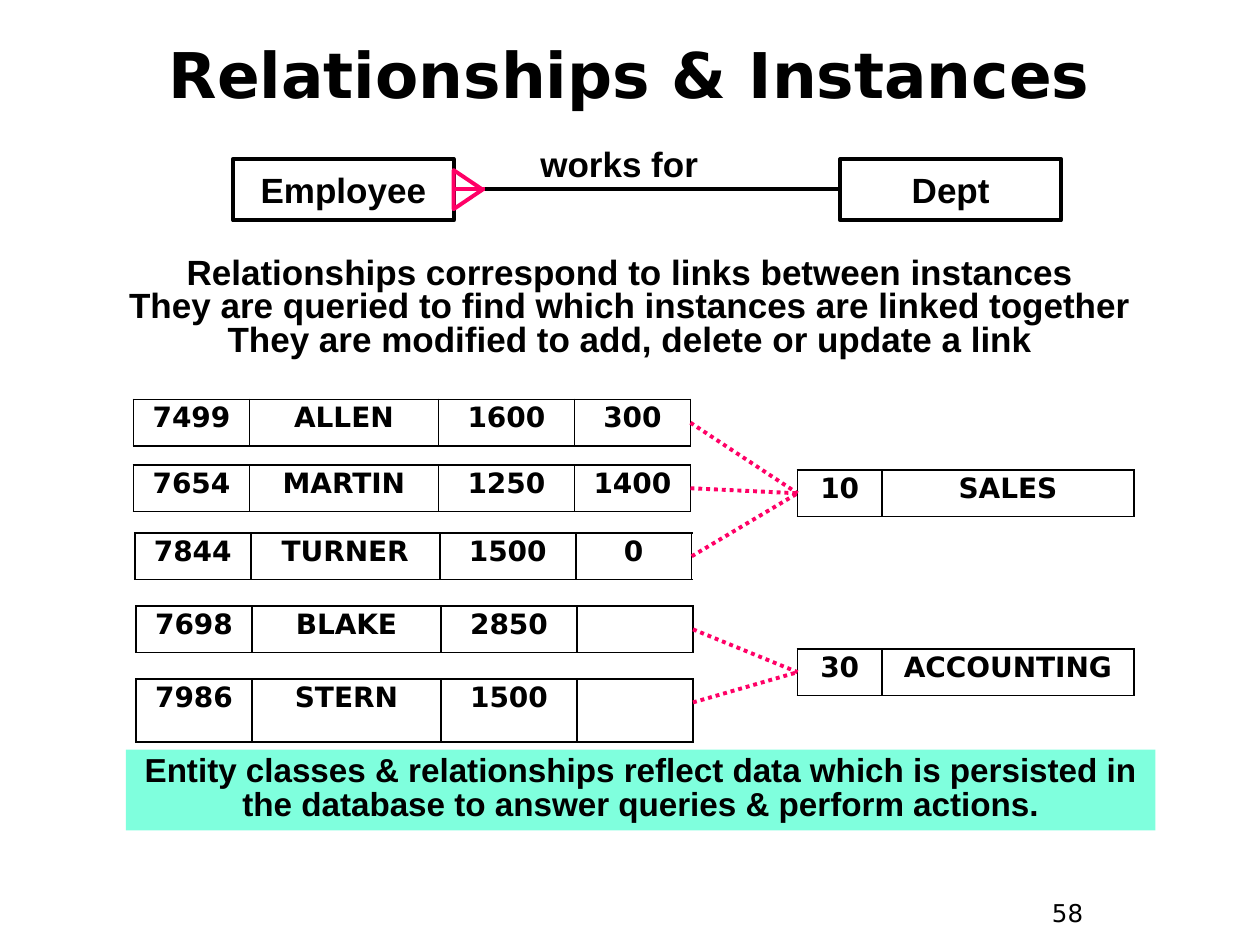
import pptx
import pptx.dml.color
import pptx.enum.dml
import pptx.enum.shapes
import pptx.enum.text
import pptx.oxml
import pptx.oxml.ns
import pptx.util

Inches = pptx.util.Inches
Pt = pptx.util.Pt
Shape = pptx.enum.shapes.MSO_SHAPE
Align = pptx.enum.text.PP_ALIGN
Anchor = pptx.enum.text.MSO_ANCHOR

COLORS = {"ink": "000000", "link": "FF0066", "banner": "7FFFDD"}
HEADING_FONT = "DejaVu Sans"
BODY_FONT = "Arial"
ROW_HEIGHT = 0.37
EMPLOYEE_COLUMNS = [0.92, 1.5, 1.08, 0.92]
DEPT_COLUMNS = [0.67, 2]
DEPT_LEFT = 6.33

DEPTS = [
    (3.73, ["10", "SALES"], [
        (1.06, 3.17, ROW_HEIGHT, ["7499", "ALLEN", "1600", "300"]),
        (1.06, 3.69, ROW_HEIGHT, ["7654", "MARTIN", "1250", "1400"]),
        (1.07, 4.23, ROW_HEIGHT, ["7844", "TURNER", "1500", "0"]),
    ]),
    (5.15, ["30", "ACCOUNTING"], [
        (1.08, 4.81, ROW_HEIGHT, ["7698", "BLAKE", "2850", ""]),
        (1.08, 5.39, 0.5, ["7986", "STERN", "1500", ""]),
    ]),
]


def rgb(name):
    return pptx.dml.color.RGBColor.from_string(COLORS[name])


def write(frame, text, size, font, bold=True, align=Align.CENTER, spacing=None):
    paragraph = frame.paragraphs[0]
    paragraph.text = text
    paragraph.alignment = align
    if spacing:
        paragraph.line_spacing = spacing
    for run in paragraph.runs:
        run.font.size = Pt(size)
        run.font.name = font
        run.font.bold = bold
        run.font.color.rgb = rgb("ink")


def add_label(slide, box, text, size, font, anchor=Anchor.TOP, **style):
    label = slide.shapes.add_textbox(*map(Inches, box))
    label.text_frame.word_wrap = True
    label.text_frame.vertical_anchor = anchor
    write(label.text_frame, text, size, font, **style)


def add_outline(slide, kind, box, color):
    outline = slide.shapes.add_shape(kind, *map(Inches, box))
    outline.shadow.inherit = False
    outline.fill.background()
    outline.line.color.rgb = rgb(color)
    outline.line.width = Pt(2.25)
    return outline


def add_entity(slide, left, name):
    entity = add_outline(slide, Shape.RECTANGLE, (left, 1.26, 1.75, 0.49), "ink")
    entity.text_frame.word_wrap = False
    entity.text_frame.vertical_anchor = Anchor.MIDDLE
    write(entity.text_frame, name, 20, BODY_FONT)


def add_line(slide, start, end, color, dotted=False):
    line = slide.shapes.add_connector(
        pptx.enum.shapes.MSO_CONNECTOR.STRAIGHT, *map(Inches, start + end))
    line.line.color.rgb = rgb(color)
    line.line.width = Pt(2.25)
    if dotted:
        line.line.dash_style = pptx.enum.dml.MSO_LINE.ROUND_DOT
    effects = pptx.oxml.parse_xml(
        "<a:effectLst %s/>" % pptx.oxml.ns.nsdecls("a"))
    line._element.spPr.append(effects)


def add_borders(cell):
    properties = cell._tc.get_or_add_tcPr()
    for index, side in enumerate("LRTB"):
        border = pptx.oxml.parse_xml(
            '<a:ln%s %s w="%d"><a:solidFill><a:srgbClr val="%s"/></a:solidFill></a:ln%s>'
            % (side, pptx.oxml.ns.nsdecls("a"), Pt(1.08), COLORS["ink"], side))
        properties.insert(index, border)


def add_record(slide, left, top, height, columns, values):
    table = slide.shapes.add_table(
        1, len(columns), Inches(left), Inches(top),
        Inches(sum(columns)), Inches(height)).table
    table.first_row = False
    table.horz_banding = False
    for column, width in zip(table.columns, columns):
        column.width = Inches(width)
    for cell, value in zip(table.rows[0].cells, values):
        cell.fill.background()
        add_borders(cell)
        margin = 0.05 if value else 0
        cell.margin_top = cell.margin_bottom = Inches(margin)
        write(cell.text_frame, value, 16, HEADING_FONT, spacing=0.85)


def add_banner(slide, text):
    banner = slide.shapes.add_shape(
        Shape.RECTANGLE, Inches(1), Inches(5.95), Inches(8.17), Inches(0.64))
    banner.shadow.inherit = False
    banner.fill.solid()
    banner.fill.fore_color.rgb = rgb("banner")
    banner.line.fill.background()
    banner.text_frame.word_wrap = True
    banner.text_frame.vertical_anchor = Anchor.TOP
    write(banner.text_frame, text, 19, BODY_FONT, spacing=0.85)


def add_relationship(slide):
    add_entity(slide, 6.67, "Dept")
    add_entity(slide, 1.85, "Employee")
    add_label(slide, (4.08, 1.08, 1.67, 0.44), "works for", 20, BODY_FONT)
    add_line(slide, (6.65, 1.5), (3.61, 1.5), "ink")
    crow_foot = add_outline(slide, Shape.ISOSCELES_TRIANGLE,
                            (3.56, 1.39, 0.31, 0.23), "link")
    crow_foot.rotation = 90
    add_line(slide, (3.59, 1.5), (3.85, 1.5), "link")


def add_instances(slide):
    middle = ROW_HEIGHT / 2
    for dept_top, dept, employees in DEPTS:
        add_record(slide, DEPT_LEFT, dept_top, ROW_HEIGHT, DEPT_COLUMNS, dept)
        for left, top, height, employee in employees:
            add_record(slide, left, top, height, EMPLOYEE_COLUMNS, employee)
            add_line(slide, (left + sum(EMPLOYEE_COLUMNS), top + middle),
                     (DEPT_LEFT, dept_top + middle), "link", dotted=True)


def main():
    deck = pptx.Presentation()
    deck.slide_width = Inches(10)
    deck.slide_height = Inches(7.5)
    slide = deck.slides.add_slide(deck.slide_layouts[6])
    add_label(slide, (8.25, 7.08, 0.75, 0.37), "58", 14, HEADING_FONT,
              bold=False, align=Align.LEFT)
    add_label(slide, (0.33, 0.17, 9.33, 0.83), "Relationships & Instances",
              36, HEADING_FONT, anchor=Anchor.MIDDLE)
    add_label(slide, (0.5, 2, 9, 0.97),
              "Relationships correspond to links between instances\n"
              "They are queried to find which instances are linked together\n"
              "They are modified to add, delete or update a link",
              20, BODY_FONT, spacing=0.8)
    add_relationship(slide)
    add_instances(slide)
    add_banner(slide, "Entity classes & relationships reflect data which is "
                      "persisted in the database to answer queries & perform actions.")
    deck.save("out.pptx")


if __name__ == "__main__":
    main()
